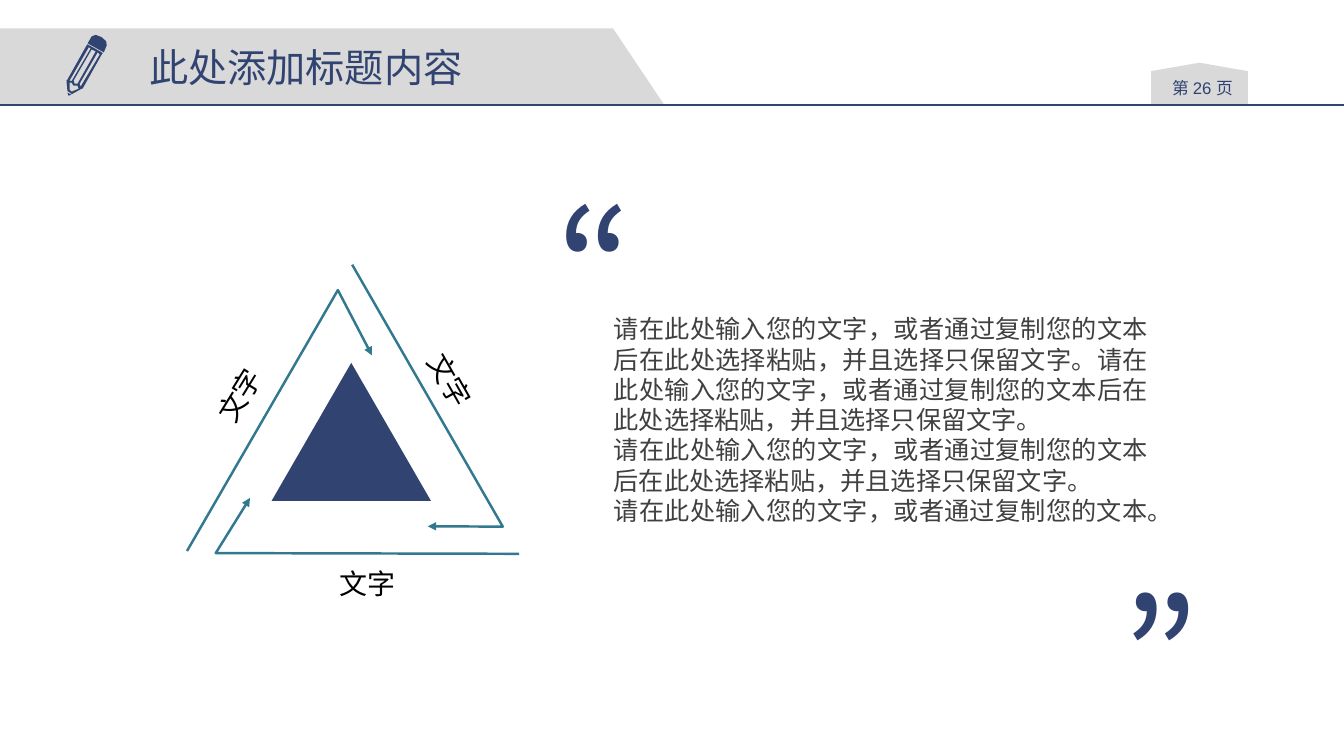
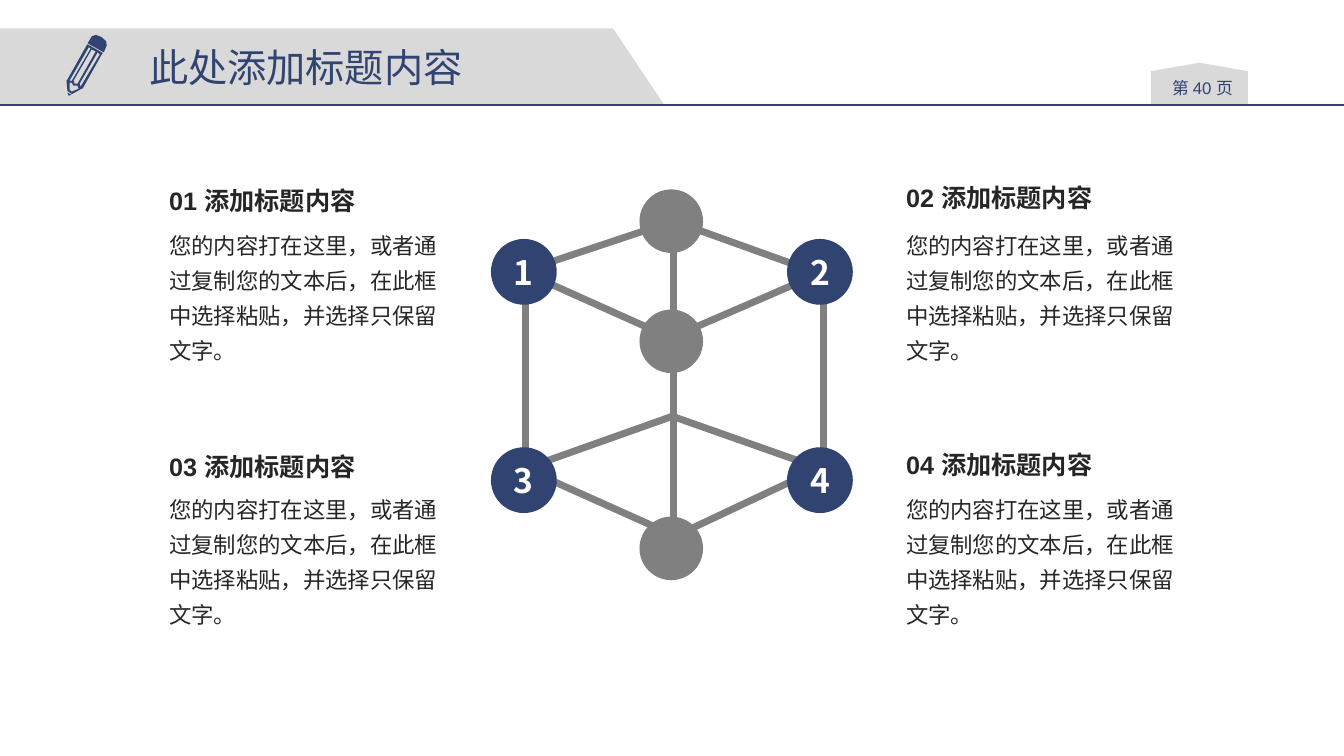
"""Build two slides: a triangle cycle with a quotation, and a cube network with four notes."""
from dataclasses import dataclass
from typing import NamedTuple

from lxml.etree import SubElement
from pptx import Presentation
from pptx.dml.color import RGBColor as RGB
from pptx.enum.shapes import MSO_CONNECTOR as CONN, MSO_SHAPE as SHAPE
from pptx.enum.text import MSO_ANCHOR as ANCHOR, MSO_AUTO_SIZE as AUTO, PP_ALIGN as ALIGN
from pptx.oxml.ns import qn
from pptx.util import Pt

COLORS = {"navy": "314371", "teal": "32798F", "band": "D9D9D9", "gray": "808080",
          "ink": "262626", "body": "404040", "black": "000000", "white": "FFFFFF"}
SANS, CJK, QUOTE = "Arial", "Noto Sans CJK SC", "Noto Sans CJK JP"
Points = list[tuple[float, float]]


class Box(NamedTuple):
    x: float
    y: float
    w: float
    h: float

    def pts(self) -> list[int]:
        return [Pt(v) for v in self]


@dataclass
class Style:
    size: float
    color: str
    latin: str = SANS
    ea: str = CJK
    bold: bool = False
    align: ALIGN = ALIGN.LEFT
    anchor: ANCHOR = ANCHOR.MIDDLE
    pitch: float | None = None
    wrap: bool = True
    inset: tuple[float, float] = (7.2, 3.6)


@dataclass
class Label:
    box: Box
    angle: float


@dataclass
class Note:
    number: str
    x: float
    head_y: float
    body_y: float


@dataclass
class Node:
    x: float
    y: float
    text: str = ""


TITLE = Style(28, "navy", CJK, wrap=False)
PAGE = Style(12, "navy", align=ALIGN.CENTER, inset=(5, 3))
LABEL = Style(20, "black", align=ALIGN.CENTER, inset=(5, 0))
MARK = Style(115, "navy", QUOTE, QUOTE, align=ALIGN.CENTER, wrap=False)
QUOTATION = Style(18, "body", align=ALIGN.JUSTIFY, anchor=ANCHOR.TOP, pitch=21.6)
NOTE_HEAD = Style(18, "ink", bold=True)
NOTE_BODY = Style(16, "ink", CJK, anchor=ANCHOR.TOP, pitch=25)
NUMBER = Style(24, "white", CJK, bold=True, align=ALIGN.CENTER, inset=(0, 0))

BAND = [(0, 20.2), (437.8, 20.2), (474.5, 74.9), (0, 74.9)]
PENCIL_CAP = [(65.5, 26), (68.4, 24.9), (72.5, 26.5), (75.8, 29.4), (76.3, 32.4),
              (74.2, 37.4), (62.6, 31)]
PENCIL_BODY = [
    [(47.5, 57.6), (48.2, 64.8), (48.9, 65.5), (51.1, 67), (51.8, 67), (58.3, 63.4), (59, 63.4),
     (72.7, 38.9), (73.4, 38.2), (72.7, 37.4), (62.6, 31.7), (61.9, 32.4), (48.2, 56.9)],
    [(49.7, 57.6), (63.4, 33.8), (64.8, 34.6), (51.8, 56.9), (51, 58)],
    [(51.1, 65.5), (49.7, 64.1), (49.7, 59), (51.1, 59), (52.6, 61.2), (55.4, 61.2), (56.2, 63.4)],
    [(52.6, 57.6), (65.5, 35.3), (68.4, 36.7), (55.4, 59.8), (53.3, 59.8)],
    [(57.6, 61.9), (56.9, 59.8), (69.8, 37.4), (71.3, 38.9)],
]
PENCIL_TIP = [(51.1, 67.7), (48.2, 66.2), (49, 68.4)]

ARROWS = [
    [(370.8, 395.6), (154.1, 395.1), (178.6, 355.7)],
    [(251.6, 189.1), (359.2, 376.2), (305.6, 376)],
    [(133.6, 393.6), (241.4, 207.2), (265.7, 253.8)],
]
LABELS = [Label(Box(212.4, 255.6, 218.2, 31.7), 60.4), Label(Box(154.1, 399.6, 216.7, 33.8), 0),
          Label(Box(61.9, 266.4, 218.2, 31.7), 301.5)]
MARKS = {"“": Box(359.3, 116, 130.3, 147), "”": Box(764, 393.9, 130.3, 147)}
PASTE = "请在此处输入您的文字，或者通过复制您的文本后在此处选择粘贴，并且选择只保留文字。"
QUOTE_LINES = [PASTE * 2, PASTE, "请在此处输入您的文字，或者通过复制您的文本。"]

EDGES = [
    (479.5, 158.4, 371.5, 194.4), (575.3, 339.1, 488.2, 380.2), (480.2, 297.4, 383, 331.9),
    (576, 199.4, 479.5, 241.2), (471.6, 378, 388.1, 340.6), (580.3, 332.6, 478.1, 296.6),
    (584.6, 195.1, 482.4, 158.4), (473.8, 239, 380.9, 197.3), (375.1, 199.4, 375.1, 337.7),
    (588.2, 199.4, 588.2, 337.7), (481, 168.5, 481, 381.6),
]
NODES = [Node(374.2, 194.2, "1"), Node(585.7, 194.2, "2"), Node(374.2, 343, "3"),
         Node(585.7, 343, "4"), Node(479.5, 158), Node(479.5, 243.8), Node(479.5, 391.7)]
NOTES = [Note("01", 113.8, 128.2, 156.2), Note("02", 640.1, 126, 156.2),
         Note("03", 113.8, 318.2, 344.9), Note("04", 640.1, 316.8, 344.9)]
NOTE_TEXT = "您的内容打在这里，或者通过复制您的文本后，在此框中选择粘贴，并选择只保留文字。"


def rgb(name: str) -> RGB:
    return RGB.from_string(COLORS[name])


def write(sp, text: str, st: Style) -> None:
    tf = sp.text_frame
    tf.text = text
    tf.auto_size = AUTO.NONE
    tf.word_wrap = st.wrap
    tf.vertical_anchor = st.anchor
    tf.margin_left = tf.margin_right = Pt(st.inset[0])
    tf.margin_top = tf.margin_bottom = Pt(st.inset[1])
    for p in tf.paragraphs:
        p.alignment = st.align
        if st.pitch:
            p.line_spacing = Pt(st.pitch)
        for r in p.runs:
            r.font.size = Pt(st.size)
            r.font.bold = st.bold
            r.font.color.rgb = rgb(st.color)
            r.font.name = st.latin
            SubElement(r.font._element, qn("a:ea"), typeface=st.ea)


def add_text(s, box: Box, text: str, st: Style, angle: float = 0) -> None:
    sp = s.shapes.add_textbox(*box.pts())
    sp.rotation = angle
    write(sp, text, st)


def paint(sp, color: str) -> None:
    sp.shadow.inherit = False
    sp.fill.solid()
    sp.fill.fore_color.rgb = rgb(color)
    sp.line.fill.background()


def add_shape(s, kind: SHAPE, box: Box, color: str):
    sp = s.shapes.add_shape(kind, *box.pts())
    paint(sp, color)
    return sp


def outline(s, contours: list[Points], close: bool = True):
    builder = None
    for contour in contours:
        start, *rest = [(Pt(x), Pt(y)) for x, y in contour]
        if builder is None:
            builder = s.shapes.build_freeform(*start)
        else:
            builder.move_to(*start)
        builder.add_line_segments(rest, close=close)
    return builder.convert_to_shape()


def add_arrow(s, points: Points) -> None:
    sp = outline(s, [points], close=False)
    sp.shadow.inherit = False
    sp.fill.background()
    sp.line.color.rgb = rgb("teal")
    sp.line.width = Pt(1.75)
    SubElement(sp.line._get_or_add_ln(), qn("a:tailEnd"), type="triangle")


def add_line(s, ends: tuple[float, float, float, float], color: str, width: float) -> None:
    line = s.shapes.add_connector(CONN.STRAIGHT, *[Pt(v) for v in ends])
    line.line.color.rgb = rgb(color)
    line.line.width = Pt(width)
    SubElement(line._element.spPr, qn("a:effectLst"))


def add_slide(prs, page: int):
    s = prs.slides.add_slide(prs.slide_layouts[5])
    paint(outline(s, [BAND]), "band")
    tab = add_shape(s, SHAPE.FLOWCHART_OFFPAGE_CONNECTOR, Box(822.2, 44.8, 69.1, 30.1), "band")
    tab.rotation = 180
    add_text(s, Box(826.6, 51.8, 64.8, 21.6), f"第 {page} 页", PAGE)
    add_line(s, (0, 74.9, 960, 74.9), "navy", 1)
    for contours in ([PENCIL_CAP], PENCIL_BODY, [PENCIL_TIP]):
        paint(outline(s, contours), "navy")
    title = s.shapes.title
    title.left, title.top, title.width, title.height = Box(99.4, 27.4, 240.5, 41).pts()
    write(title, "此处添加标题内容", TITLE)
    s.shapes._spTree.append(title._element)
    return s


def quotation_slide(prs) -> None:
    s = add_slide(prs, 26)
    add_shape(s, SHAPE.ISOSCELES_TRIANGLE, Box(194, 259.2, 113.8, 98.6), "navy")
    for points in ARROWS:
        add_arrow(s, points)
    for label in LABELS:
        add_text(s, label.box, "文字", LABEL, label.angle)
    for mark, box in MARKS.items():
        add_text(s, box, mark, MARK)
    add_text(s, Box(431.3, 220.6, 396, 159.8), "\n".join(QUOTE_LINES), QUOTATION)


def network_slide(prs) -> None:
    s = add_slide(prs, 40)
    for ends in EDGES:
        add_line(s, ends, "gray", 5)
    for node in NODES:
        d, color = (47, "navy") if node.text else (45.4, "gray")
        sp = add_shape(s, SHAPE.OVAL, Box(node.x - d / 2, node.y - d / 2, d, d), color)
        if node.text:
            write(sp, node.text, NUMBER)
    for note in NOTES:
        add_text(s, Box(note.x, note.head_y, 211, 30.2), f"{note.number} 添加标题内容", NOTE_HEAD)
        add_text(s, Box(note.x, note.body_y, 211, 110.9), NOTE_TEXT, NOTE_BODY)


def main() -> None:
    prs = Presentation()
    prs.slide_width, prs.slide_height = Pt(960), Pt(540)
    quotation_slide(prs)
    network_slide(prs)
    prs.save("out.pptx")


if __name__ == "__main__":
    main()
